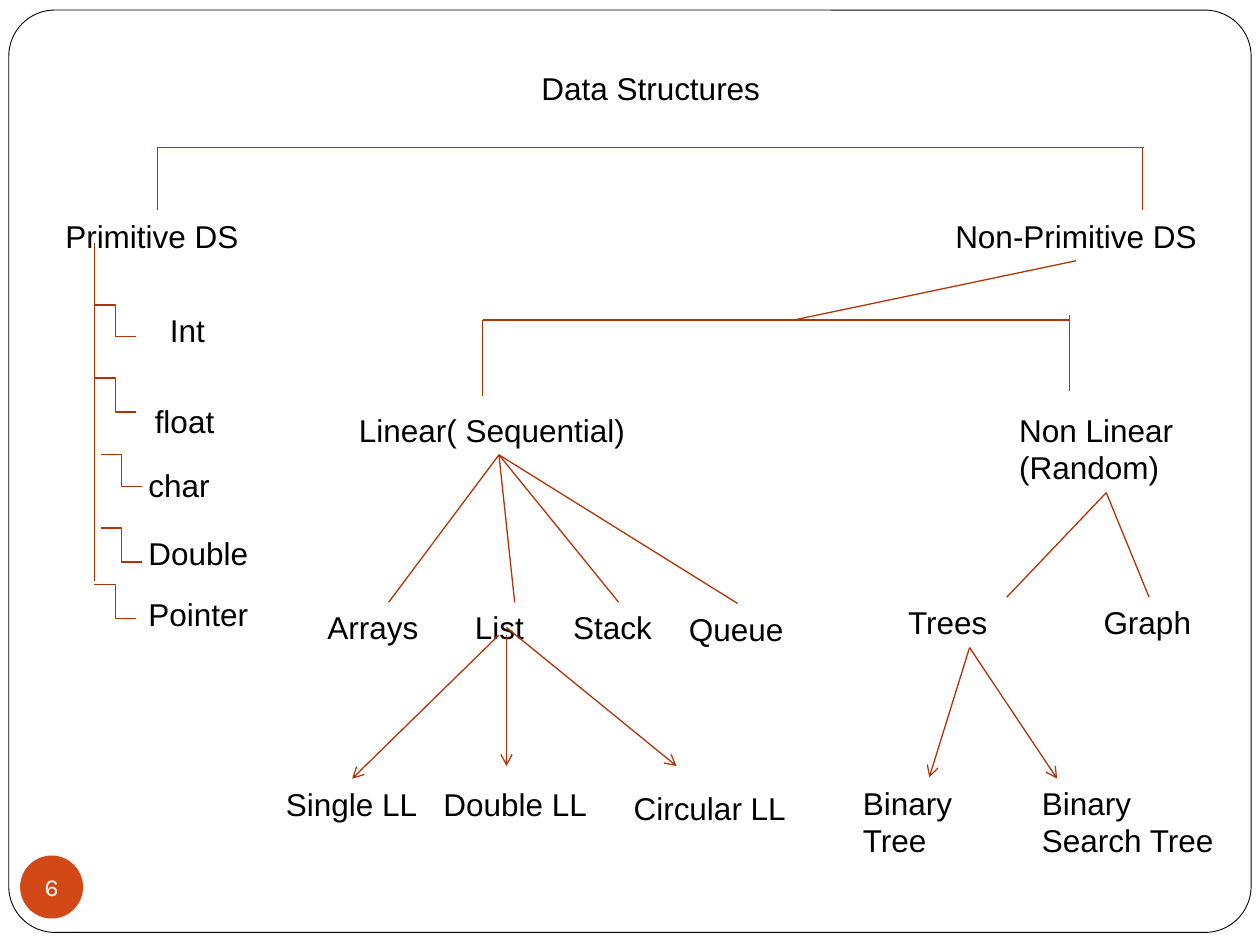
from dataclasses import dataclass
from typing import Any

from lxml import etree
from pptx import Presentation
from pptx import util as u
from pptx.dml.color import RGBColor
from pptx.enum import shapes, text
from pptx.oxml import ns

PX = u.Inches(1) // 100  # 100 px to the inch
BLACK = RGBColor(0x00, 0x00, 0x00)
WHITE = RGBColor(0xFF, 0xFF, 0xFF)
ORANGE = RGBColor(0xD3, 0x48, 0x17)
RUST = RGBColor(0xAF, 0x34, 0x08)
TOP, BOTTOM = 0, 2  # connection sites
CENTER = text.PP_ALIGN.CENTER


@dataclass
class Region:
    """A box on the slide; its parts are placed relative to its corner."""
    slide: Any
    left: int
    top: int
    width: int
    height: int

    def place(self, x, y):
        return (self.left + x) * PX, (self.top + y) * PX

    def label(self, wording, x, y, width, height=40, align=None):
        shape = self.slide.shapes.add_textbox(*self.place(x, y), width * PX, height * PX)
        frame = shape.text_frame
        frame.word_wrap = True
        frame.auto_size = text.MSO_AUTO_SIZE.SHAPE_TO_FIT_TEXT
        frame.text = wording
        for paragraph in frame.paragraphs:
            paragraph.alignment = align
            paragraph.font.name = "Arial"
            paragraph.font.size = u.Pt(18)
            paragraph.font.color.rgb = BLACK
        return shape

    def link(self, start, end, arrow=False, kind=shapes.MSO_CONNECTOR.STRAIGHT):
        """Join two ends, each a point (x, y) or a pair (shape, site)."""
        joined = [not isinstance(point[0], int) for point in (start, end)]
        first, last = [(0, 0) if is_joined else self.place(*point)
                       for is_joined, point in zip(joined, (start, end))]
        connector = self.slide.shapes.add_connector(kind, *first, *last)
        if joined[0]:
            connector.begin_connect(*start)
        if joined[1]:
            connector.end_connect(*end)
        connector.line.color.rgb = RUST
        connector.line.width = u.Pt(0.75)
        properties = connector.element.spPr
        if arrow:
            line = properties.find(ns.qn("a:ln"))
            etree.SubElement(line, ns.qn("a:tailEnd"), type="arrow")
        etree.SubElement(properties, ns.qn("a:effectLst"))


def add_frame(region):
    # Rounded border
    border = region.slide.shapes.add_shape(
        shapes.MSO_SHAPE.ROUNDED_RECTANGLE, *region.place(7, 8),
        (region.width - 14) * PX, (region.height - 18) * PX)
    border.adjustments[0] = 0.05
    border.shadow.inherit = False
    border.fill.solid()
    border.fill.fore_color.rgb = WHITE
    border.line.color.rgb = BLACK
    border.line.width = u.Pt(0.5)

    # Page number
    badge = region.slide.shapes.add_shape(
        shapes.MSO_SHAPE.OVAL, *region.place(16, 679), 50 * PX, 50 * PX)
    badge.shadow.inherit = False
    badge.fill.solid()
    badge.fill.fore_color.rgb = ORANGE
    badge.line.fill.background()
    frame = badge.text_frame
    frame.margin_left = frame.margin_top = frame.margin_right = frame.margin_bottom = 0
    frame.word_wrap = False
    frame.vertical_anchor = text.MSO_ANCHOR.MIDDLE
    frame.text = "6"
    paragraph = frame.paragraphs[0]
    paragraph.alignment = CENTER
    paragraph.font.name = "Karla"
    paragraph.font.size = u.Pt(14)
    paragraph.font.color.rgb = WHITE


def add_root(region):
    region.label("Data Structures", 316, 0, 317, align=CENTER)
    region.label("Primitive DS", 0, 117, 233)
    non_primitive = region.label("Non-Primitive DS", 691, 117, 242, align=CENTER)

    # Fork to the two main kinds
    region.link((83, 67), (866, 67))
    for x in (83, 865):
        region.link((x, 67), (x, 117))

    # Fork below the non-primitive kind
    region.link((341, 204), (807, 204))
    region.link((588, 204), (non_primitive, BOTTOM))
    for x, y in ((341, 204), (807, 200)):
        region.link((x, y), (x, y + 60))


def add_primitive(region):
    region.link((0, 0), (0, 268))
    # Wording, its corner and width, then its branch's corner and drop
    for wording, x, y, width, branch_x, branch_y, drop in (
            ("Int", 50, 49, 83, 0, 49, 25),
            ("float", 38, 121, 78, 0, 107, 27),
            ("char", 33, 172, 83, 5, 168, 25),
            ("Double", 33, 226, 101, 5, 226, 27),
            ("Pointer", 33, 274, 101, 0, 271, 27)):
        region.link((branch_x, branch_y), (branch_x + 33, branch_y + drop),
                    kind=shapes.MSO_CONNECTOR.ELBOW)
        region.label(wording, x, y, width)


def add_linear(region):
    linear = region.label("Linear( Sequential)", 58, 0, 242)
    for wording, x, y, width in (("Arrays", 33, 157, 117), ("List", 150, 157, 83),
                                 ("Stack", 228, 157, 92), ("Queue", 320, 158, 97)):
        child = region.label(wording, x, y, width)
        region.link((linear, BOTTOM), (child, TOP))

    # Linked lists
    single = region.label("Single LL", 0, 297, 125)
    region.label("Double LL", 125, 297, 149)
    region.label("Circular LL", 276, 300, 165)
    region.link((179, 183), (single, TOP), arrow=True)
    region.link((185, 183), (185, 287), arrow=True)
    region.link((185, 177), (320, 287), arrow=True)


def add_non_linear(region):
    non_linear = region.label("Non Linear\n(Random)", 124, 0, 158, 70)
    trees = region.label("Trees", 36, 153, 117)
    graph = region.label("Graph", 191, 153, 92)
    region.link((non_linear, BOTTOM), (124, 153))
    region.link((non_linear, BOTTOM), (graph, TOP))

    # Kinds of tree
    binary = region.label("Binary Tree", 0, 296, 125, 70)
    region.label("Binary Search Tree", 142, 296, 158, 70)
    region.link((trees, BOTTOM), (binary, TOP), arrow=True)
    region.link((trees, BOTTOM), (164, 297), arrow=True)


def main():
    presentation = Presentation()
    presentation.slide_width = 1000 * PX
    presentation.slide_height = 750 * PX
    slide = presentation.slides.add_slide(presentation.slide_layouts[6])
    add_frame(Region(slide, 0, 0, 1000, 750))
    add_root(Region(slide, 42, 50, 933, 264))
    add_primitive(Region(slide, 75, 193, 134, 314))
    add_linear(Region(slide, 217, 321, 441, 340))
    add_non_linear(Region(slide, 675, 321, 300, 366))
    presentation.save("out.pptx")


if __name__ == "__main__":
    main()
